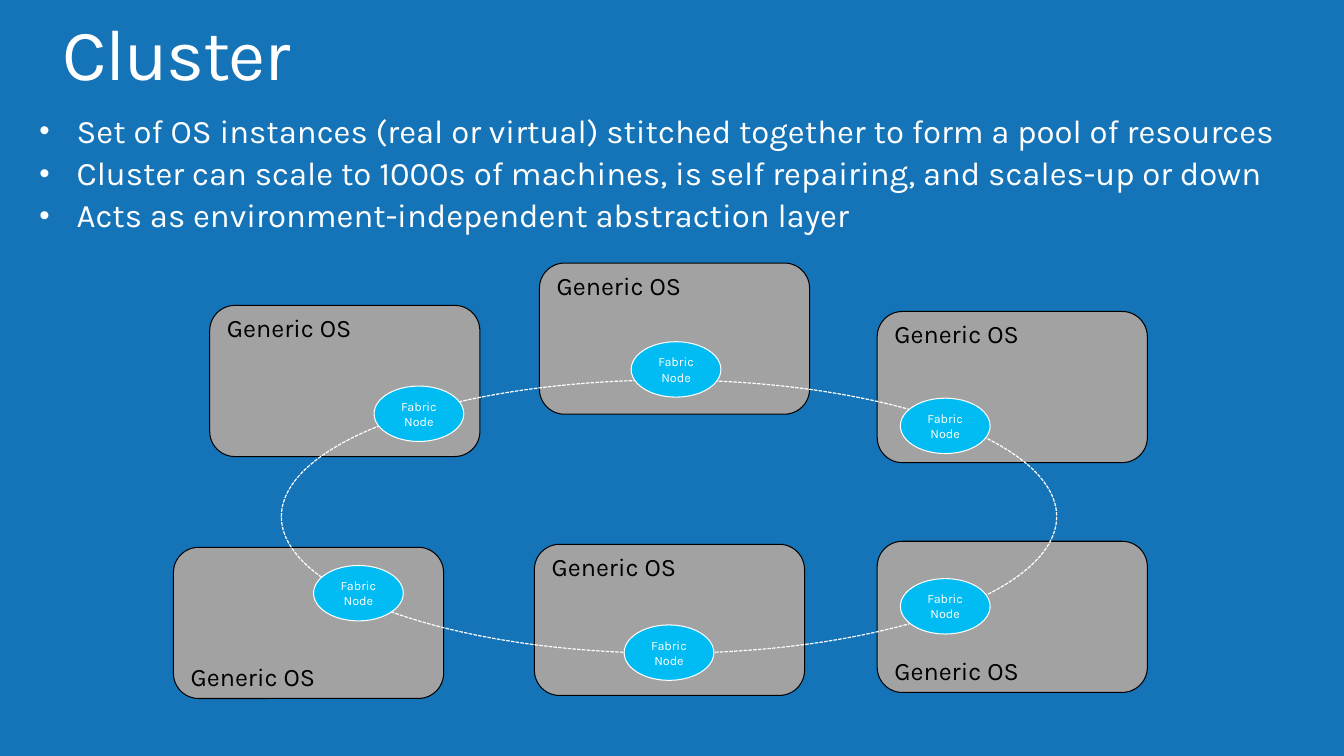
import pptx
import pptx.util
import pptx.dml.color
import pptx.enum.dml
import pptx.enum.shapes
import pptx.enum.text
import pptx.oxml.ns
import lxml.etree

Inches, Pt = pptx.util.Inches, pptx.util.Pt
RGBColor = pptx.dml.color.RGBColor
SHAPE = pptx.enum.shapes.MSO_SHAPE
ANCHOR = pptx.enum.text.MSO_ANCHOR
ALIGN = pptx.enum.text.PP_ALIGN

# Content
TITLE = "Cluster"
POINTS = [
    "Set of OS instances (real or virtual) stitched together to form a pool of resources",
    "Cluster can scale to 1000s of machines, is self repairing, and scales-up or down",
    "Acts as environment-independent abstraction layer",
]
HOST = "Generic OS"
NODE = ["Fabric", "Node"]

# Host left and top, node left and top, label anchor
HOSTS = [
    (2.08, 3.03, 3.71, 3.83, ANCHOR.TOP),
    (1.72, 5.43, 3.11, 5.61, ANCHOR.BOTTOM),
    (8.7, 5.37, 8.93, 5.74, ANCHOR.BOTTOM),
    (5.35, 2.61, 6.26, 3.39, ANCHOR.TOP),
    (8.7, 3.09, 8.93, 3.95, ANCHOR.TOP),
    (5.3, 5.4, 6.19, 6.2, ANCHOR.TOP),
]
HOST_SIZE = (2.68, 1.5)
NODE_SIZE = (0.89, 0.55)
RING = (2.79, 3.77, 7.69, 2.71)

# Style
FONT = "Karla"
BLUE = RGBColor(0x15, 0x74, 0xB8)
CYAN = RGBColor(0x00, 0xBC, 0xF2)
GRAY = RGBColor(0xA2, 0xA2, 0xA2)
WHITE = RGBColor(0xFF, 0xFF, 0xFF)
BLACK = RGBColor(0x00, 0x00, 0x00)


def write(shape, lines, size, color=WHITE, align=ALIGN.LEFT, anchor=ANCHOR.TOP,
          inset=(0.16, 0.1), leading=1.0, before=0, track=0):
    frame = shape.text_frame
    frame.word_wrap = True
    frame.auto_size = pptx.enum.text.MSO_AUTO_SIZE.NONE
    frame.vertical_anchor = anchor
    frame.margin_left = frame.margin_right = Inches(inset[0])
    frame.margin_top = frame.margin_bottom = Inches(inset[1])
    frame.text = "\n".join(lines)
    for para in frame.paragraphs:
        para.alignment = align
        para.line_spacing = leading
        para.space_before = Pt(before)
        for run in para.runs:
            run.font.name = FONT
            run.font.size = Pt(size)
            run.font.color.rgb = color
            if track:
                run.font._element.set("spc", str(track))


def place(shape, left, top, width, height):
    shape.left, shape.top = Inches(left), Inches(top)
    shape.width, shape.height = Inches(width), Inches(height)


def draw(slide, kind, box, line, fill=None, weight=0.75):
    shape = slide.shapes.add_shape(kind, *map(Inches, box))
    shape.shadow.inherit = False
    if fill is None:
        shape.fill.background()
    else:
        shape.fill.solid()
        shape.fill.fore_color.rgb = fill
    shape.line.color.rgb = line
    shape.line.width = Pt(weight)
    return shape


def bullet(para):
    props = para._p.get_or_add_pPr()
    props.set("marL", str(Inches(0.37)))
    props.set("indent", str(-Inches(0.37)))
    for tag, key, value in (("a:buSzPct", "val", "90000"),
                            ("a:buFont", "typeface", "Arial"),
                            ("a:buChar", "char", "•")):
        lxml.etree.SubElement(props, pptx.oxml.ns.qn(tag)).set(key, value)


def main():
    deck = pptx.Presentation()
    deck.slide_width, deck.slide_height = Inches(13.33), Inches(7.5)
    slide = deck.slides.add_slide(deck.slide_layouts[1])
    slide.background.fill.solid()
    slide.background.fill.fore_color.rgb = BLUE

    # Title and list
    title, body = slide.placeholders
    place(title, 0.46, 0.08, 12.75, 0.98)
    write(title, [TITLE], 51.6, leading=0.9, track=-100)
    place(body, 0.23, 1.04, 13.65, 1.43)
    write(body, POINTS, 23.5, leading=0.9, before=4.7)
    for para in body.text_frame.paragraphs:
        bullet(para)

    # Hosts behind the ring
    for left, top, _, _, anchor in HOSTS:
        host = draw(slide, SHAPE.ROUNDED_RECTANGLE, (left, top, *HOST_SIZE), BLACK, GRAY)
        write(host, [HOST], 18, color=BLACK, anchor=anchor, inset=(0.1, 0))

    # Ring, then the nodes on it
    ring = draw(slide, SHAPE.OVAL, RING, WHITE, weight=0.85)
    ring.line.dash_style = pptx.enum.dml.MSO_LINE.SQUARE_DOT
    for _, _, left, top, _ in HOSTS:
        node = draw(slide, SHAPE.OVAL, (left, top, *NODE_SIZE), WHITE, CYAN)
        write(node, NODE, 9, align=ALIGN.CENTER, anchor=ANCHOR.MIDDLE, inset=(0, 0))

    deck.save("out.pptx")


if __name__ == "__main__":
    main()
